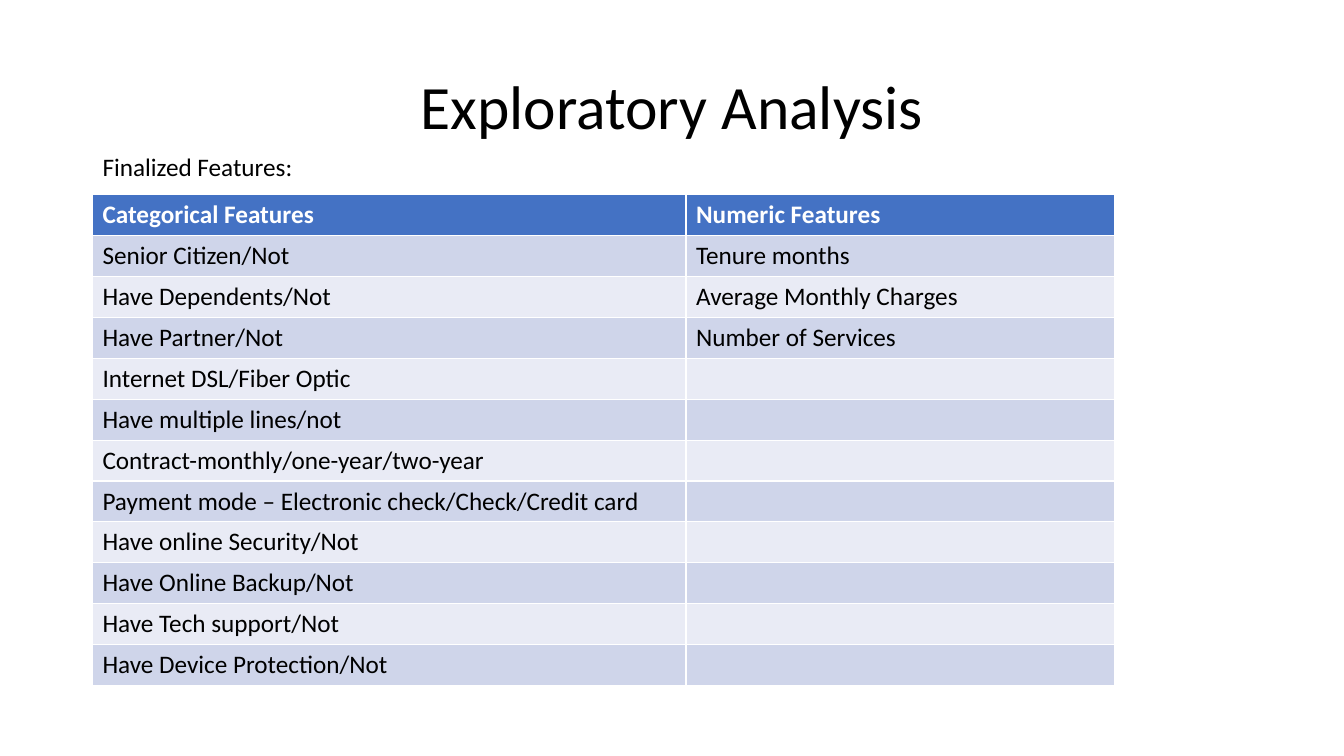
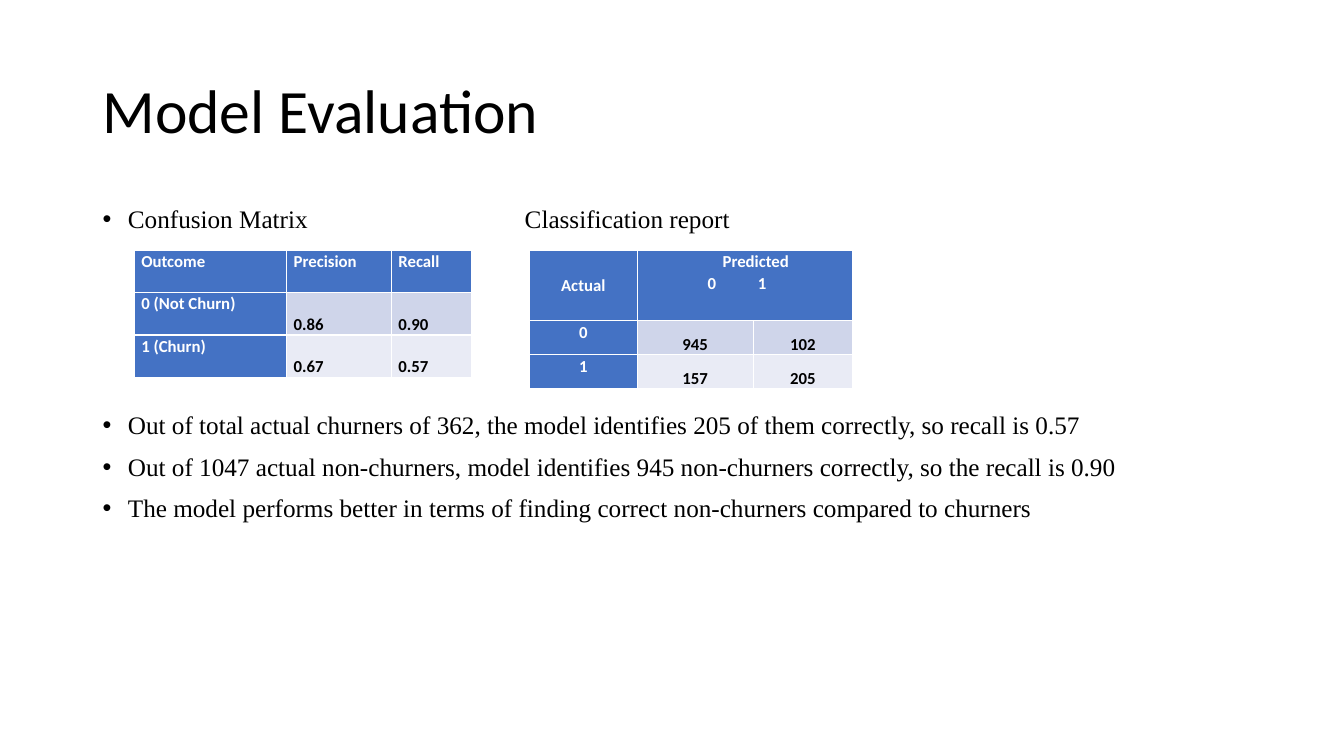
from dataclasses import dataclass

from lxml.etree import SubElement
from pptx import Presentation
from pptx.dml.color import RGBColor
from pptx.enum.text import MSO_ANCHOR, MSO_AUTO_SIZE, PP_ALIGN
from pptx.oxml.ns import qn
from pptx.util import Cm, Pt


@dataclass(frozen=True)
class Theme:
    ink: RGBColor = RGBColor.from_string("000000")
    white: RGBColor = RGBColor.from_string("FFFFFF")
    header: RGBColor = RGBColor.from_string("4472C4")
    bands: tuple = (RGBColor.from_string("CFD5EA"), RGBColor.from_string("E9EBF5"))
    sans: str = "Calibri"
    serif: str = "Times New Roman"
    title: int = 44
    body: int = 18
    small: int = 12


THEME = Theme()
LEFT, WIDTH = Cm(2.33), Cm(29.21)
TITLE_HEIGHT = Cm(3.68)


def write(paragraph, text, *, size=THEME.body, font=THEME.sans, color=THEME.ink,
          bold=False, align=PP_ALIGN.LEFT, line=1.0, before=0, margin=0,
          hanging=0, bullet=None, tab=None):
    """Fill a paragraph with one run; margin, hanging and tab are lengths in cm."""
    run = paragraph.add_run()
    run.text = text
    run.font.name, run.font.size, run.font.bold = font, Pt(size), bold
    run.font.color.rgb = color
    paragraph.alignment = align
    paragraph.line_spacing = line
    paragraph.space_before = Pt(before)
    properties = paragraph._p.get_or_add_pPr()
    properties.set("marL", str(Cm(margin)))
    properties.set("indent", str(-Cm(hanging)))
    if bullet:
        SubElement(properties, qn("a:buFont"), typeface="Arial")
        SubElement(properties, qn("a:buChar"), char=bullet)
    else:
        SubElement(properties, qn("a:buNone"))
    if tab:
        stops = SubElement(properties, qn("a:tabLst"))
        SubElement(stops, qn("a:tab"), pos=str(Cm(tab)), algn="l")


def add_grid(slide, left, top, widths, heights, rows, *, label_column=False, **style):
    """Add a banded table; a label column makes it compact and coloured as a header."""
    grid = slide.shapes.add_table(len(rows), len(widths), left, top,
                                  Cm(sum(widths)), Cm(sum(heights))).table
    grid.first_col = label_column
    for column, width in zip(grid.columns, widths):
        column.width = Cm(width)
    for r, (values, height) in enumerate(zip(rows, heights)):
        grid.rows[r].height = Cm(height)
        for c, value in enumerate(values):
            cell = grid.cell(r, c)
            is_label = r == 0 or (label_column and c == 0)
            cell.fill.solid()
            cell.fill.fore_color.rgb = THEME.header if is_label else THEME.bands[(r - 1) % 2]
            if label_column:
                cell.margin_left = cell.margin_right = Cm(0.18)
                cell.margin_top = cell.margin_bottom = 0
                cell.vertical_anchor = MSO_ANCHOR.TOP if is_label else MSO_ANCHOR.BOTTOM
            if value:
                write(cell.text_frame.paragraphs[0], value, bold=is_label or label_column,
                      color=THEME.white if is_label else THEME.ink, **style)
    return grid


deck = Presentation()
deck.slide_width, deck.slide_height = Cm(33.87), Cm(19.05)

# Title and body of each slide: heading, alignment, anchor, title top, body top, body height
outline = [
    ("Exploratory Analysis", PP_ALIGN.CENTER, MSO_ANCHOR.TOP, 1.8, 3.78, 13.36),
    ("Model Evaluation", PP_ALIGN.LEFT, MSO_ANCHOR.MIDDLE, 1.02, 5.08, 13.31),
]
slides = []
for heading, align, anchor, title_top, body_top, body_height in outline:
    slide = deck.slides.add_slide(deck.slide_layouts[1])
    title, body = slide.placeholders
    for holder, top, height in ((title, Cm(title_top), TITLE_HEIGHT),
                                (body, Cm(body_top), Cm(body_height))):
        holder.left, holder.top, holder.width, holder.height = LEFT, top, WIDTH, height
        holder.text_frame.auto_size = MSO_AUTO_SIZE.NONE
    title.text_frame.vertical_anchor = anchor
    write(title.text_frame.paragraphs[0], heading, size=THEME.title, align=align, line=0.9)
    slides.append(slide)
exploration, evaluation = slides

# Exploratory Analysis
write(exploration.placeholders[1].text_frame.paragraphs[0], "Finalized Features:",
      line=0.9, before=10)
features = [
    ("Categorical Features", "Numeric Features"),
    ("Senior Citizen/Not", "Tenure months"),
    ("Have Dependents/Not", "Average Monthly Charges"),
    ("Have Partner/Not", "Number of Services"),
    ("Internet DSL/Fiber Optic", ""),
    ("Have multiple lines/not", ""),
    ("Contract-monthly/one-year/two-year", ""),
    ("Payment mode – Electronic check/Check/Credit card", ""),
    ("Have online Security/Not", ""),
    ("Have Online Backup/Not", ""),
    ("Have Tech support/Not", ""),
    ("Have Device Protection/Not", ""),
]
add_grid(exploration, LEFT, Cm(4.91), [14.96, 10.8], [1.03] * len(features), features)

# Model Evaluation: the second point starts below the two tables
findings = evaluation.placeholders[1].text_frame
points = [
    ("Confusion Matrix\tClassification report", 10),
    ("Out of total actual churners of 362, the model identifies 205 of them correctly, "
     "so recall is 0.57", 128),
    ("Out of 1047 actual non-churners, model identifies 945 non-churners correctly, "
     "so the recall is 0.90", 10),
    ("The model performs better in terms of finding correct non-churners compared "
     "to churners", 10),
]
for i, (point, before) in enumerate(points):
    write(findings.add_paragraph() if i else findings.paragraphs[0], point,
          font=THEME.serif, line=0.9, before=before, margin=0.64, hanging=0.64,
          bullet="•", tab=10.64 if "\t" in point else None)

TABLES_TOP = Cm(6.3)
compact = dict(size=THEME.small, line=1.07)
scores = [
    ("Outcome", "Precision", "Recall"),
    ("0 (Not Churn)", "0.86", "0.90"),
    ("1 (Churn)", "0.67", "0.57"),
]
add_grid(evaluation, Cm(3.38), TABLES_TOP, [3.84, 2.64, 2.03], [1.07] * 3, scores,
         label_column=True, **compact)

counts = [("Actual", "", ""), ("0", "945", "102"), ("1", "157", "205")]
matrix = add_grid(evaluation, Cm(13.34), TABLES_TOP, [2.72, 2.92, 2.51], [1.78, 0.86, 0.86],
                  counts, label_column=True, align=PP_ALIGN.CENTER, **compact)
matrix.cell(0, 0).vertical_anchor = MSO_ANCHOR.MIDDLE
predicted = matrix.cell(0, 1)
predicted.merge(matrix.cell(0, 2))
write(predicted.text_frame.paragraphs[0], "Predicted", color=THEME.white, bold=True,
      margin=1.97, **compact)
write(predicted.text_frame.add_paragraph(), "0\t1", color=THEME.white, bold=True,
      margin=1.59, tab=3.53, **compact)

deck.save("out.pptx")
